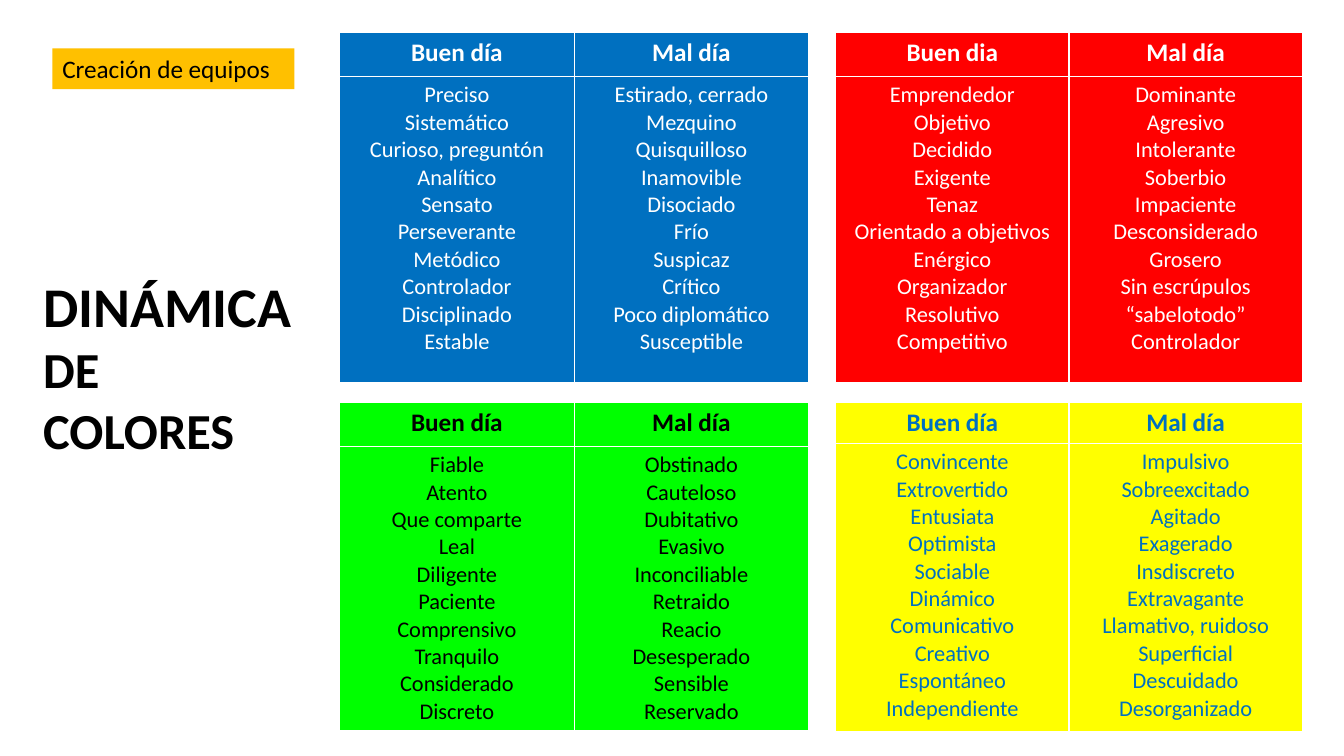
"""Build the team-building slide with four colour tables of good-day and bad-day traits."""
from pptx import Presentation
from pptx.dml.color import RGBColor
from pptx.enum.shapes import MSO_SHAPE
from pptx.enum.text import MSO_ANCHOR, PP_ALIGN
from pptx.util import Cm, Pt

BLUE = RGBColor(0x00, 0x70, 0xC0)
RED = RGBColor(0xFF, 0x00, 0x00)
GREEN = RGBColor(0x00, 0xFF, 0x00)
YELLOW = RGBColor(0xFF, 0xFF, 0x00)
AMBER = RGBColor(0xFF, 0xC0, 0x00)
WHITE = RGBColor(0xFF, 0xFF, 0xFF)
BLACK = RGBColor(0x00, 0x00, 0x00)

TAG = "Creación de equipos"
TITLE = [("DINÁMICA", 40), (" DE COLORES", 36)]
PANELS = [
    {"fill": BLUE, "ink": WHITE, "rows": (1.12, 7.7), "heads": ("Buen día", "Mal día"),
     "good": ["Preciso", "Sistemático", "Curioso, preguntón", "Analítico", "Sensato",
              "Perseverante", "Metódico", "Controlador", "Disciplinado", "Estable"],
     "bad": ["Estirado, cerrado", "Mezquino", "Quisquilloso", "Inamovible", "Disociado",
             "Frío", "Suspicaz", "Crítico", "Poco diplomático", "Susceptible"]},
    {"fill": RED, "ink": WHITE, "rows": (1.12, 7.72), "heads": ("Buen dia", "Mal día"),
     "good": ["Emprendedor", "Objetivo", "Decidido", "Exigente", "Tenaz",
              "Orientado a objetivos", "Enérgico", "Organizador", "Resolutivo", "Competitivo"],
     "bad": ["Dominante", "Agresivo", "Intolerante", "Soberbio", "Impaciente",
             "Desconsiderado", "Grosero", "Sin escrúpulos", "“sabelotodo”", "Controlador"]},
    {"fill": GREEN, "ink": BLACK, "rows": (1.12, 7.11), "heads": ("Buen día", "Mal día"),
     "good": ["Fiable", "Atento", "Que comparte", "Leal", "Diligente",
              "Paciente", "Comprensivo", "Tranquilo", "Considerado", "Discreto"],
     "bad": ["Obstinado", "Cauteloso", "Dubitativo", "Evasivo", "Inconciliable",
             "Retraido", "Reacio", "Desesperado", "Sensible", "Reservado"]},
    {"fill": YELLOW, "ink": BLUE, "rows": (1.04, 7.26), "heads": ("Buen día", "Mal día"),
     "good": ["Convincente", "Extrovertido", "Entusiata", "Optimista", "Sociable",
              "Dinámico", "Comunicativo", "Creativo", "Espontáneo", "Independiente"],
     "bad": ["Impulsivo", "Sobreexcitado", "Agitado", "Exagerado", "Insdiscreto",
             "Extravagante", "Llamativo, ruidoso", "Superficial", "Descuidado", "Desorganizado"]},
]
LEFTS = (8.56, 21.06)
TOPS = (0.81, 10.13)
WIDTHS = (5.91, 5.88)


def write(frame, lines, size=18, ink=BLACK, bold=False, align=PP_ALIGN.LEFT):
    """Fill a text frame with one paragraph per line; a line is text or (text, size) runs."""
    frame.word_wrap = True
    for i, line in enumerate(lines):
        para = frame.paragraphs[0] if i == 0 else frame.add_paragraph()
        para.alignment = align
        for text, points in [(line, size)] if isinstance(line, str) else line:
            run = para.add_run()
            run.text = text
            font = run.font
            font.name, font.size, font.bold = "Calibri", Pt(points), bold
            font.color.rgb = ink


def add_panel(slide, panel, row, col):
    """Place one two-column table in the grid."""
    wide = WIDTHS[col]
    table = slide.shapes.add_table(2, 2, Cm(LEFTS[col]), Cm(TOPS[row]),
                                   Cm(2 * wide), Cm(sum(panel["rows"]))).table
    for i, tall in enumerate(panel["rows"]):
        table.rows[i].height = Cm(tall)
    for i, (head, key) in enumerate(zip(panel["heads"], ("good", "bad"))):
        table.columns[i].width = Cm(wide)
        for j, lines in enumerate(([head], panel[key])):
            cell = table.cell(j, i)
            cell.fill.solid()
            cell.fill.fore_color.rgb = panel["fill"]
            write(cell.text_frame, lines, size=(18, 16)[j], ink=panel["ink"],
                  bold=j == 0, align=PP_ALIGN.CENTER)


def main():
    """Assemble and save the slide."""
    deck = Presentation()
    deck.slide_width, deck.slide_height = Cm(33.87), Cm(19.05)
    slide = deck.slides.add_slide(deck.slide_layouts[6])
    for i, panel in enumerate(PANELS):
        add_panel(slide, panel, *divmod(i, 2))

    title = slide.shapes.add_textbox(Cm(0.84), Cm(6.71), Cm(6.95), Cm(5.21))
    write(title.text_frame, [TITLE], bold=True)

    tag = slide.shapes.add_shape(MSO_SHAPE.RECTANGLE, Cm(1.32), Cm(1.22), Cm(6.1), Cm(1.03))
    tag.shadow.inherit = False
    tag.fill.solid()
    tag.fill.fore_color.rgb = AMBER
    tag.line.fill.background()
    tag.text_frame.vertical_anchor = MSO_ANCHOR.TOP
    write(tag.text_frame, [TAG])
    deck.save("out.pptx")


if __name__ == "__main__":
    main()
